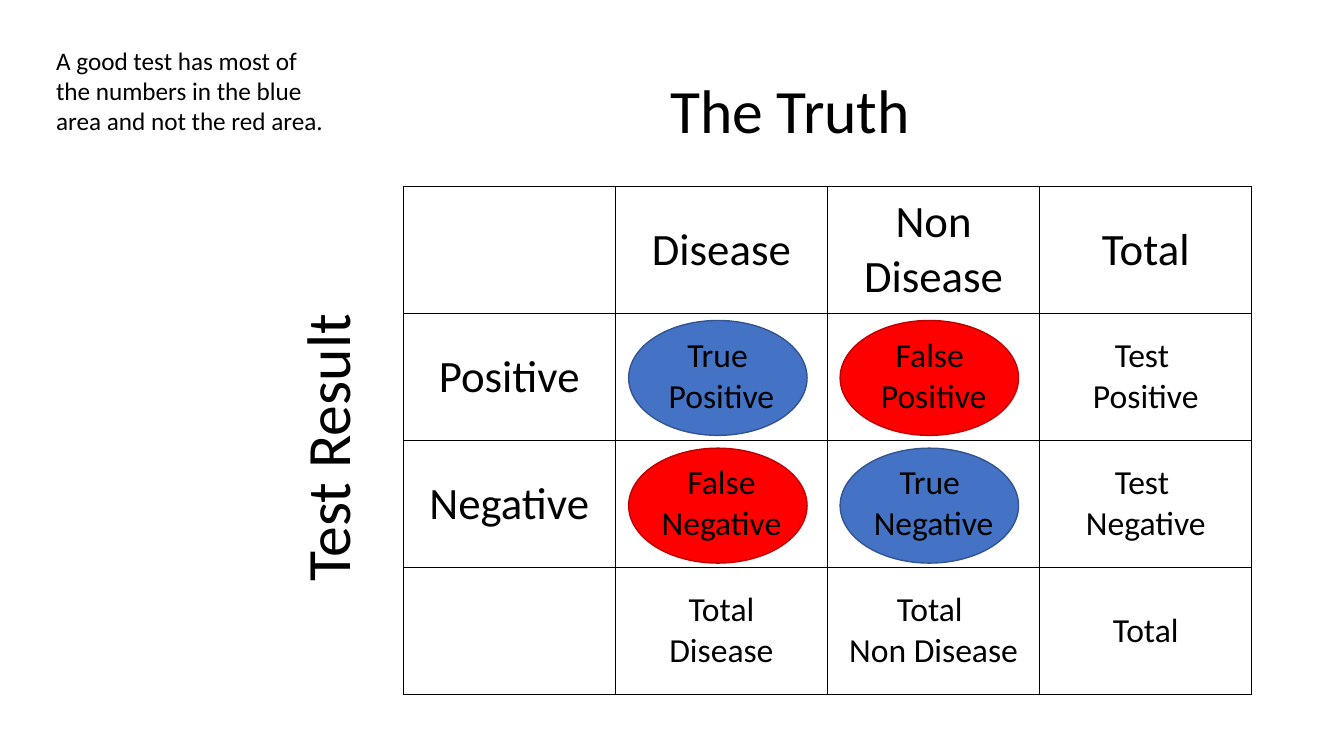
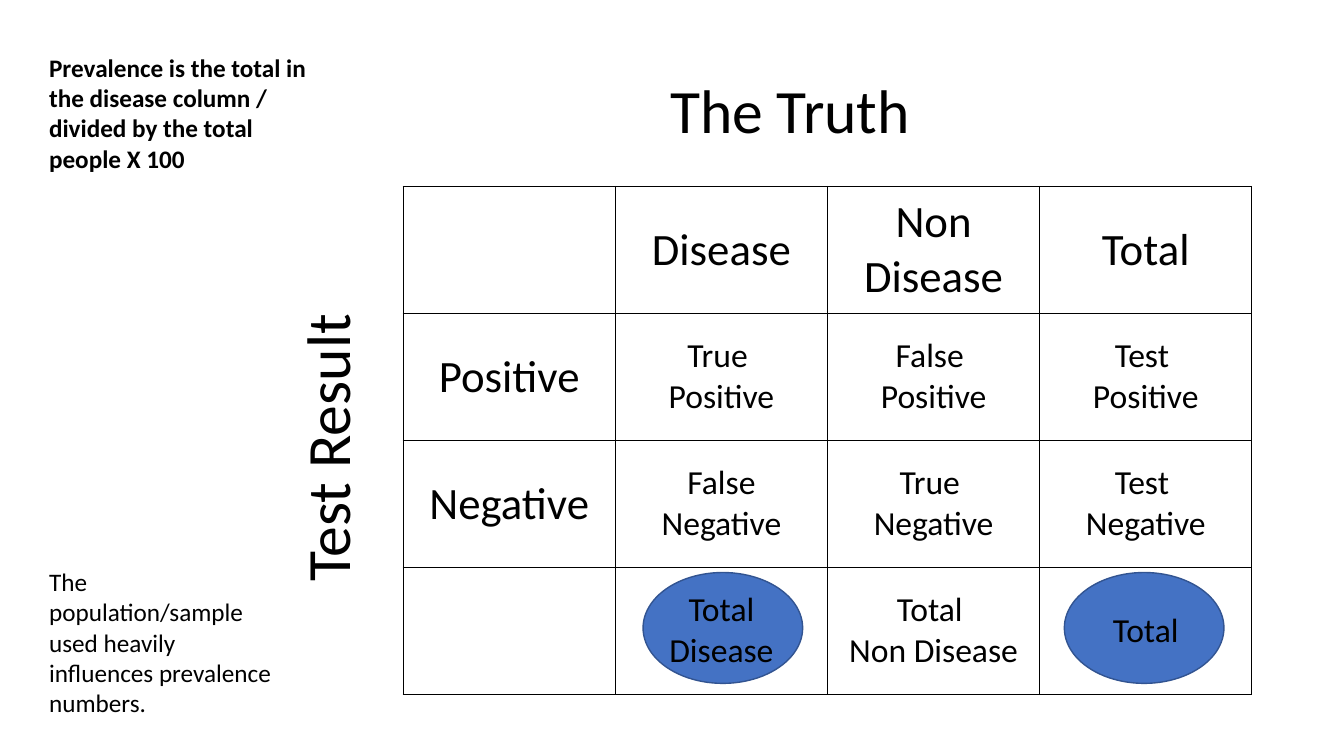
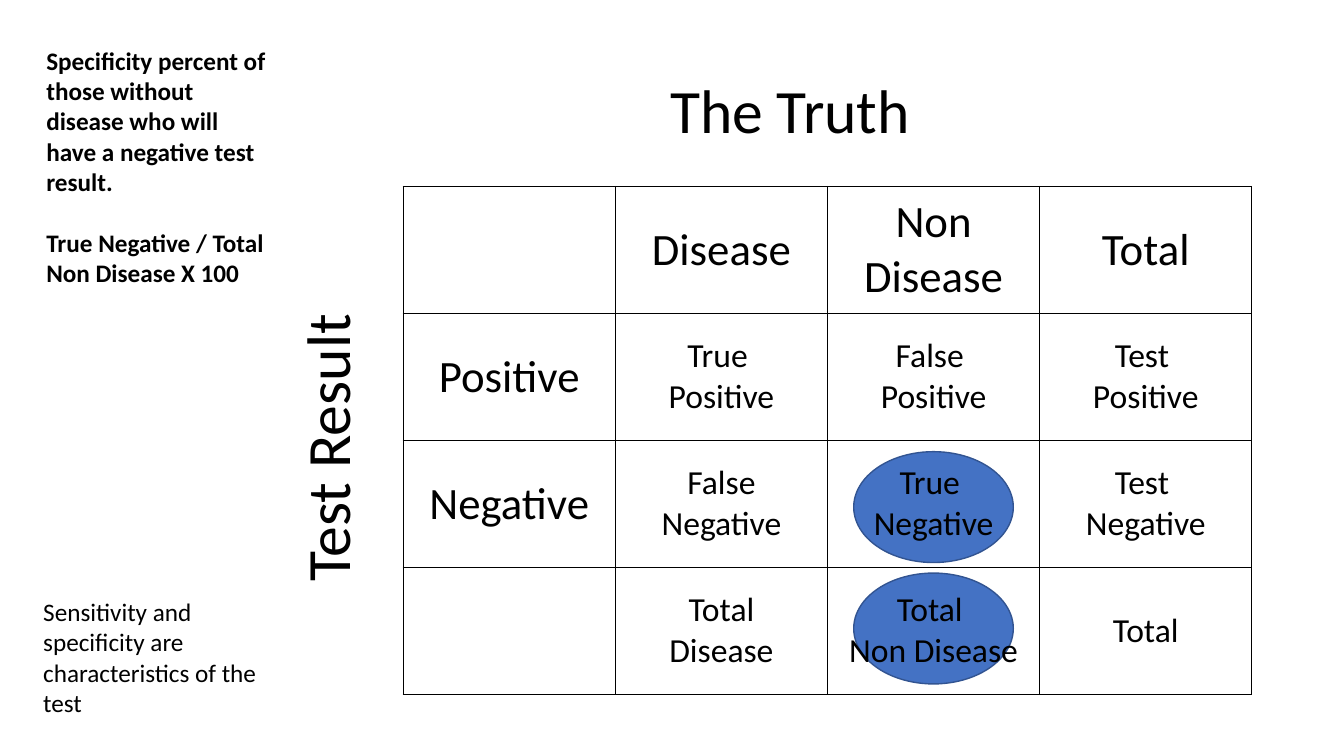
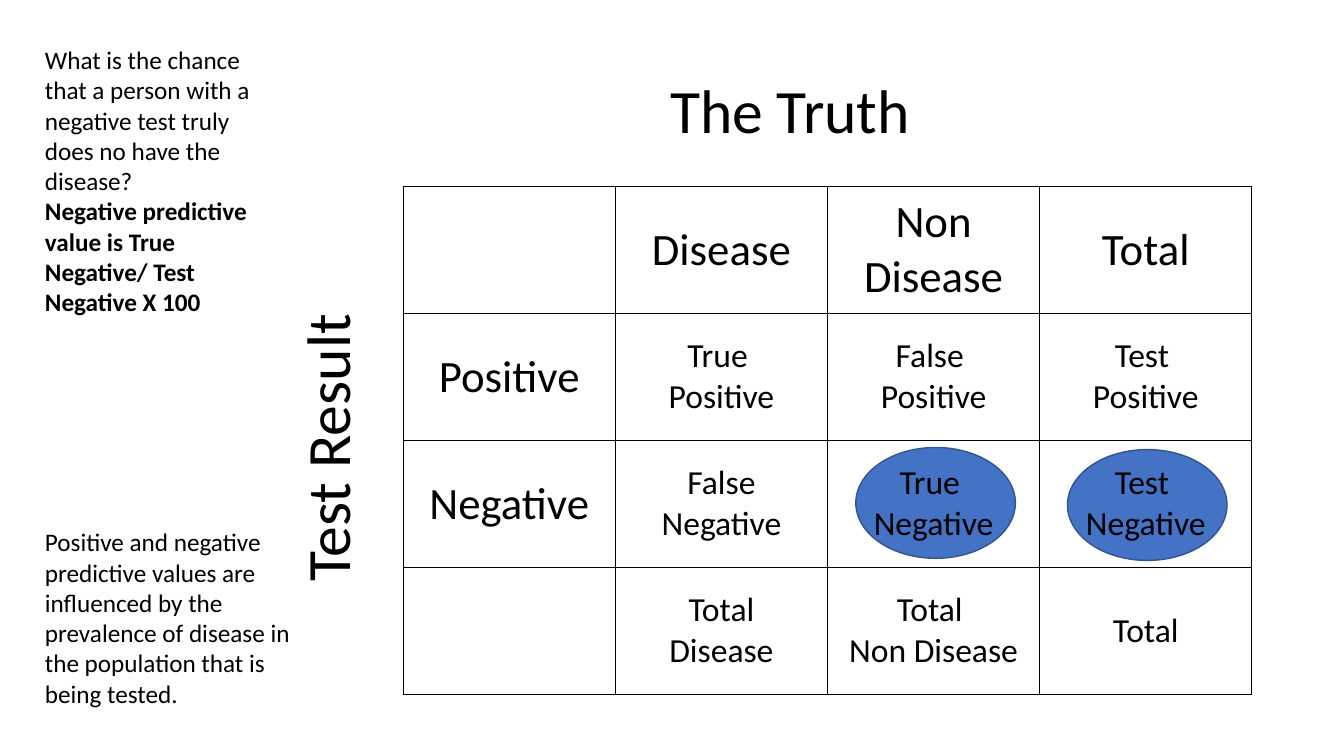
from dataclasses import dataclass

from lxml.etree import SubElement
from pptx import Presentation
from pptx.dml.color import RGBColor
from pptx.enum.shapes import MSO_SHAPE
from pptx.enum.text import MSO_ANCHOR, MSO_AUTO_SIZE, PP_ALIGN
from pptx.oxml.ns import qn
from pptx.util import Pt

BLACK = RGBColor(0x00, 0x00, 0x00)
BLUE = RGBColor(0x44, 0x72, 0xC4)
DARK_BLUE = RGBColor(0x32, 0x54, 0x91)
RED = RGBColor(0xFF, 0x00, 0x00)
DARK_RED = RGBColor(0xC0, 0x00, 0x00)
OUTLINES = {BLUE: DARK_BLUE, RED: DARK_RED}

FONT = "Calibri"
TITLE_SIZE, HEADING_SIZE, CELL_SIZE, NOTE_SIZE = 44, 32, 24, 18

TITLE_WIDTH, TITLE_HEIGHT = 422.64, 104.4
TABLE_LEFT, TABLE_TOP = 288, 133.2
COLUMN_WIDTH, ROW_HEIGHT = 151.56, 90.72
LARGE_OVAL = (127.44, 82.08)
SMALL_OVAL = (114, 79.2)

CELL_TEXTS = [
    ["", "Disease", "Non Disease", "Total"],
    ["Positive", "True \nPositive", "False \nPositive", "Test \nPositive"],
    ["Negative", "False Negative", "True \nNegative", "Test \nNegative"],
    ["", "Total\nDisease", "Total \nNon Disease", "Total"],
]


@dataclass
class Mark:
    """An oval behind a table cell; left and top are measured from the cell."""
    row: int
    column: int
    left: float
    top: float
    size: tuple = SMALL_OVAL
    color: RGBColor = BLUE


@dataclass
class Note:
    """A text box of (text, bold) paragraphs; box is left, top, width, height."""
    box: tuple
    paragraphs: list
    gap: float = 0


PAGES = [
    (
        [
            Mark(2, 1, 9.5, 5.5, LARGE_OVAL, RED),
            Mark(1, 2, 9, 5, LARGE_OVAL, RED),
            Mark(1, 1, 9.5, 5, LARGE_OVAL),
            Mark(2, 2, 9, 5.5, LARGE_OVAL),
        ],
        [
            Note((33, 28.8, 206.6, 72.7), [
                ("A good test has most of the numbers in the blue area "
                 "and not the red area.", False)]),
        ],
    ),
    (
        [Mark(3, 3, 17.6, 3.6), Mark(3, 1, 19.8, 3.6)],
        [
            Note((28, 33.8, 204.5, 94.5), [
                ("Prevalence is the total in the disease column / divided by "
                 "the total people X 100", True)]),
            Note((28, 401, 181.4, 116.6), [
                ("The population/sample used heavily influences prevalence "
                 "numbers.", False)]),
        ],
    ),
    (
        [Mark(3, 2, 18.7, 4), Mark(2, 2, 18.7, 8)],
        [
            Note((26, 28.8, 173.5, 181.4), [
                ("Specificity percent of those without disease who will have "
                 "a negative test result.", True),
                ("True Negative / Total Non Disease X 100", True)], gap=22),
            Note((23.8, 422.6, 177, 94.5), [
                ("Sensitivity and specificity are characteristics of the test",
                 False)]),
        ],
    ),
    (
        [Mark(2, 3, 19.8, 6.5), Mark(2, 2, 20.2, 5)],
        [
            Note((25, 28.3, 178.6, 203.8), [
                ("What is the chance that a person with a negative test truly "
                 "does no have the disease?", False),
                ("Negative predictive value is True Negative/ Test Negative "
                 "X 100", True)]),
            Note((25, 372.6, 199.4, 138.2), [
                ("Positive and negative predictive values are influenced by "
                 "the prevalence of disease in the population that is being "
                 "tested.", False)]),
        ],
    ),
]


def style_paragraph(para, size, bold=False):
    para.font.name = FONT
    para.font.size = Pt(size)
    para.font.bold = bold
    para.font.color.rgb = BLACK


def add_mark(page, mark):
    width, height = mark.size
    oval = page.shapes.add_shape(
        MSO_SHAPE.OVAL,
        Pt(TABLE_LEFT + mark.column * COLUMN_WIDTH + mark.left),
        Pt(TABLE_TOP + mark.row * ROW_HEIGHT + mark.top),
        Pt(width), Pt(height))
    oval.shadow.inherit = False
    oval.fill.solid()
    oval.fill.fore_color.rgb = mark.color
    oval.line.color.rgb = OUTLINES[mark.color]
    oval.line.width = Pt(1)


def add_axis_title(page, text, left, top, rotation=0):
    box = page.shapes.add_textbox(
        Pt(left), Pt(top), Pt(TITLE_WIDTH), Pt(TITLE_HEIGHT))
    box.rotation = rotation
    frame = box.text_frame
    frame.word_wrap = True
    frame.vertical_anchor = MSO_ANCHOR.MIDDLE
    para = frame.paragraphs[0]
    para.text = text
    para.line_spacing = 0.9
    style_paragraph(para, TITLE_SIZE)


def add_cell_borders(cell):
    properties = cell._tc.get_or_add_tcPr()
    for side in ("a:lnL", "a:lnR", "a:lnT", "a:lnB"):
        line = SubElement(properties, qn(side), w=str(Pt(1)))
        fill = SubElement(line, qn("a:solidFill"))
        SubElement(fill, qn("a:srgbClr"), val=str(BLACK))


def add_result_table(page):
    rows, columns = len(CELL_TEXTS), len(CELL_TEXTS[0])
    table = page.shapes.add_table(
        rows, columns, Pt(TABLE_LEFT), Pt(TABLE_TOP),
        Pt(columns * COLUMN_WIDTH), Pt(rows * ROW_HEIGHT)).table
    table.first_row = False
    table.horz_banding = False
    for row, texts in enumerate(CELL_TEXTS):
        for column, text in enumerate(texts):
            cell = table.cell(row, column)
            add_cell_borders(cell)
            cell.fill.background()
            cell.vertical_anchor = MSO_ANCHOR.MIDDLE
            cell.text = text
            is_heading = row == 0 or column == 0
            for para in cell.text_frame.paragraphs:
                para.alignment = PP_ALIGN.CENTER
                style_paragraph(para, HEADING_SIZE if is_heading else CELL_SIZE)


def add_note(page, note):
    box = page.shapes.add_textbox(*(Pt(length) for length in note.box))
    frame = box.text_frame
    frame.word_wrap = True
    frame.auto_size = MSO_AUTO_SIZE.SHAPE_TO_FIT_TEXT
    for index, (text, bold) in enumerate(note.paragraphs):
        para = frame.add_paragraph() if index else frame.paragraphs[0]
        para.text = text
        if index and note.gap:
            para.space_before = Pt(note.gap)
        style_paragraph(para, NOTE_SIZE, bold)


def add_page(deck, marks, notes):
    page = deck.slides.add_slide(deck.slide_layouts[6])
    for mark in marks:
        add_mark(page, mark)
    add_axis_title(page, "The Truth", 471.6, 28.8)
    add_result_table(page)
    add_axis_title(page, "Test Result", 24.5, 159.1, rotation=270)
    for note in notes:
        add_note(page, note)


def main():
    deck = Presentation()
    deck.slide_width, deck.slide_height = Pt(960), Pt(540)
    for marks, notes in PAGES:
        add_page(deck, marks, notes)
    deck.save("out.pptx")


if __name__ == "__main__":
    main()
